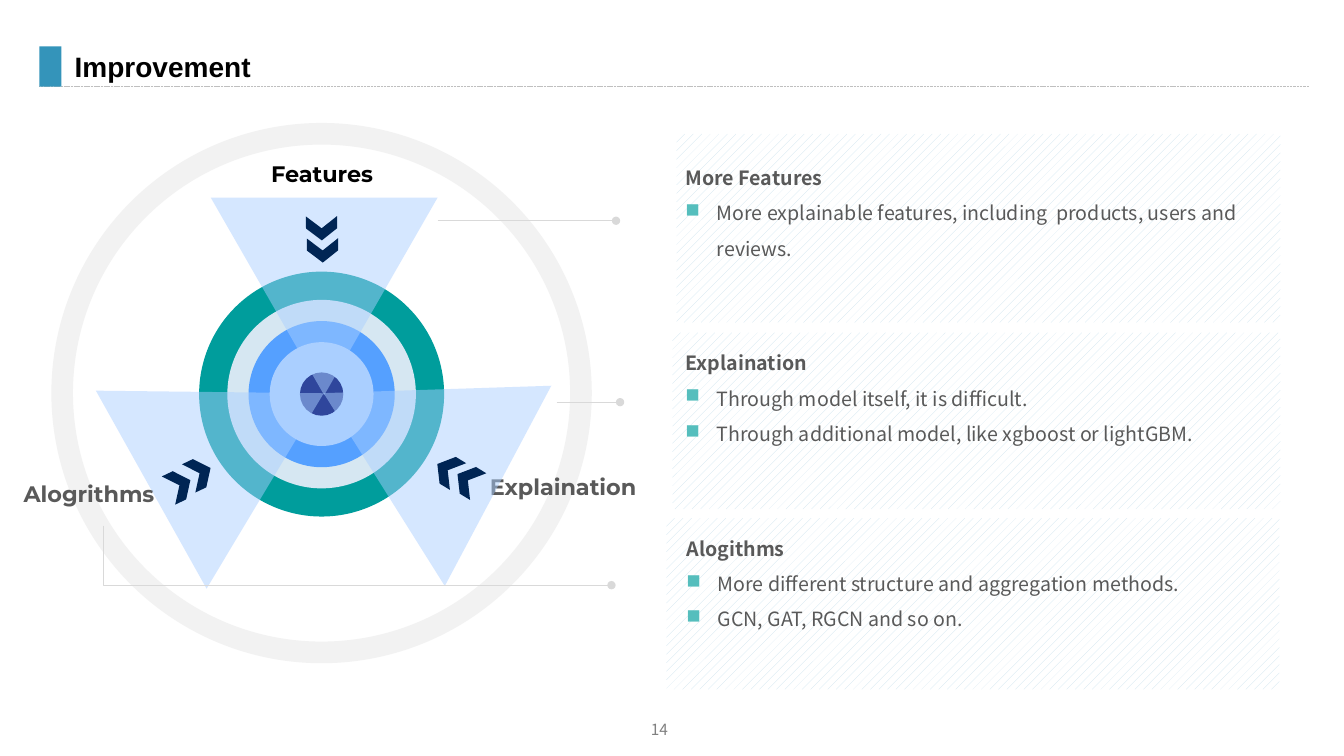
from lxml import etree
from pptx import Presentation
from pptx.dml.color import RGBColor
from pptx.enum import dml, shapes, text
from pptx.oxml.ns import qn
from pptx.util import Inches, Pt

KIND = shapes.MSO_SHAPE
GREY, NAVY, SKY = "595959", "002554", "AACFFF"
SANS, HEAD = "Noto Sans CJK SC", "Montserrat"


def rgb(code):
    """Turn a hex string into a colour."""
    return RGBColor.from_string(code)


def place(box):
    """Turn a box in inches into lengths."""
    return [Inches(n) for n in box]


def draw(slide, kind, box, color, turn=0):
    """Add a plain filled shape."""
    shape = slide.shapes.add_shape(kind, *place(box))
    shape.shadow.inherit = False
    shape.fill.solid()
    shape.fill.fore_color.rgb = rgb(color)
    shape.line.fill.background()
    shape.rotation = turn
    return shape


def style(par, font, size, color, bold=False):
    """Set the font of a paragraph."""
    par.font.name, par.font.size, par.font.bold = font, Pt(size), bold
    par.font.color.rgb = rgb(color)


def write(slide, box, words, font, size, color, bold=False, align=None):
    """Add a text box with one paragraph."""
    frame = slide.shapes.add_textbox(*place(box)).text_frame
    frame.word_wrap = True
    par = frame.paragraphs[0]
    par.text, par.alignment = words, align
    style(par, font, size, color, bold)
    return frame


def link(slide, ends, color, width, kind=shapes.MSO_CONNECTOR.STRAIGHT, dot=True):
    """Add a thin connector, with a dot at its end if asked."""
    line = slide.shapes.add_connector(kind, *place(ends))
    line.line.color.rgb, line.line.width = rgb(color), Pt(width)
    if dot:
        etree.SubElement(line.line._get_or_add_ln(), qn("a:tailEnd"), type="oval")
    etree.SubElement(line._element.spPr, qn("a:effectLst"))
    return line


def header(slide, box):
    """Place the title with its bar and dashed rule."""
    x, y, w, h = box
    rule = link(slide, (x, y + h, x + w, y + h), "BFBFBF", 0.25, dot=False)
    rule.line.dash_style = dml.MSO_LINE.SQUARE_DOT
    draw(slide, KIND.RECTANGLE, (x, y, 0.22, h), "3494BA")
    title = slide.shapes.title
    title.left, title.top, title.width, title.height = place((x + 0.25, y + 0.01, 11.5, 0.42))
    title.text = "Improvement"
    frame = title.text_frame
    frame.auto_size = text.MSO_AUTO_SIZE.NONE
    frame.vertical_anchor = text.MSO_ANCHOR.MIDDLE
    par = frame.paragraphs[0]
    par.alignment, par.line_spacing = text.PP_ALIGN.LEFT, 0.9
    style(par, "Arial", 20, "000000", True)


def target(slide, box):
    """Draw the ring, discs, beams, chevrons and labels."""
    x, y, w, h = box
    ring = draw(slide, KIND.DONUT, box, "F2F2F2")
    ring.adjustments[0] = 0.04
    labels = [
        ("Features", (1.61, 0.32, 2.15, 0.37), "000000", text.PP_ALIGN.CENTER),
        ("Explaination", (4.25, 3.42, 1.73, 0.37), GREY, text.PP_ALIGN.LEFT),
        ("Alogrithms", (-0.52, 3.49, 1.64, 0.37), GREY, text.PP_ALIGN.RIGHT),
    ]
    for words, (dx, dy, lw, lh), color, align in labels:
        write(slide, (x + dx, y + dy, lw, lh), words, HEAD, 16, color, True, align)
    discs = [(2.43, "009D9C"), (1.87, "D6E7F2"), (1.45, "55A0FF"), (1.03, SKY), (0.43, "2F469C")]
    for size, color in discs:
        spot = (x + w / 2 - size / 2, y + h / 2 - size / 2 + 0.01, size, size)
        draw(slide, KIND.OVAL, spot, color)
    for dx, dy, turn in [(1.58, 0.74, 180), (0.72, 2.18, 60.8), (2.44, 2.16, 298)]:
        beam = draw(slide, KIND.ISOSCELES_TRIANGLE, (x + dx, y + dy, 2.25, 1.96), SKY, turn)
        tint = beam._element.spPr.find(".//" + qn("a:srgbClr"))
        etree.SubElement(tint, qn("a:alpha"), val="49000")
    pairs = [
        (211.3, (3.81, 3.29), (4.01, 3.39)),
        (89.3, (2.57, 1.11), (2.56, 0.89)),
        (334.6, (1.35, 3.32), (1.15, 3.44)),
    ]
    for turn, *spots in pairs:
        for dx, dy in spots:
            draw(slide, KIND.CHEVRON, (x + dx, y + dy, 0.24, 0.31), NAVY, turn)


def leads(slide):
    """Draw the lines leading from the beams to the notes."""
    for x, y, end in [(4.34, 2.19, 6.11), (5.52, 3.99, 6.15)]:
        link(slide, (x, y, end, y), "D9D9D9", 0.5)
    bend = link(slide, (3.84, 2.99, 3.25, 8.03), "D9D9D9", 0.5, shapes.MSO_CONNECTOR.ELBOW)
    form = bend._element.spPr
    form.find(qn("a:prstGeom")).set("prst", "bentConnector2")
    form.find(qn("a:xfrm")).set("rot", str(270 * 60000))


def panel(slide, box):
    """Draw a hatched panel."""
    shape = draw(slide, KIND.RECTANGLE, box, "FFFFFF")
    shape.fill.patterned()
    shape.fill.pattern = dml.MSO_PATTERN.PERCENT_20
    shape.fill.fore_color.rgb = rgb("CBE1EE")
    shape.fill.back_color.rgb = rgb("FFFFFF")


def note(slide, box, head, items, lead):
    """Write a heading with its bulleted list."""
    frame = write(slide, box, head, SANS, 14, GREY, True)
    frame.paragraphs[0].line_spacing = lead
    for item in items:
        par = frame.add_paragraph()
        par.text, par.line_spacing = item, 1.5
        style(par, SANS, 14, GREY)
        prop = par._p.get_or_add_pPr()
        prop.set("marL", str(Inches(0.31)))
        prop.set("indent", str(-Inches(0.31)))
        mark = etree.Element(qn("a:buClr"))
        etree.SubElement(mark, qn("a:srgbClr"), val="55BEBD")
        sign = etree.Element(qn("a:buChar"), char="■")
        spot = prop.index(prop.find(qn("a:lnSpc"))) + 1
        prop[spot:spot] = [mark, sign]


def main():
    """Build the slide and save it."""
    deck = Presentation()
    deck.slide_width, deck.slide_height = Inches(13.33), Inches(7.5)
    slide = deck.slides.add_slide(deck.slide_layouts[5])
    header(slide, (0.39, 0.46, 12.59, 0.4))
    for box in [(6.61, 5.14, 6.08, 1.7), (6.67, 3.3, 6.03, 1.75), (6.71, 1.33, 5.99, 1.87)]:
        panel(slide, box)
    target(slide, (0.51, 1.22, 5.36, 5.36))
    leads(slide)
    note(slide, (6.7, 1.48, 5.99, 1.16), "More Features",
         ["More explainable features, including  products, users and reviews."], 1.5)
    note(slide, (6.7, 3.39, 5.99, 1.09), "Explaination",
         ["Through model itself, it is difficult.",
          "Through additional model, like xgboost or lightGBM."], Pt(20))
    note(slide, (6.71, 5.16, 5.99, 1.16), "Alogithms",
         ["More different structure and aggregation methods.",
          "GCN, GAT, RGCN and so on."], 1.5)
    page = write(slide, (4.95, 7.12, 3.18, 0.23), "14", SANS, 11, "808080",
                 align=text.PP_ALIGN.CENTER)
    page.vertical_anchor = text.MSO_ANCHOR.MIDDLE
    deck.save("out.pptx")


if __name__ == "__main__":
    main()
